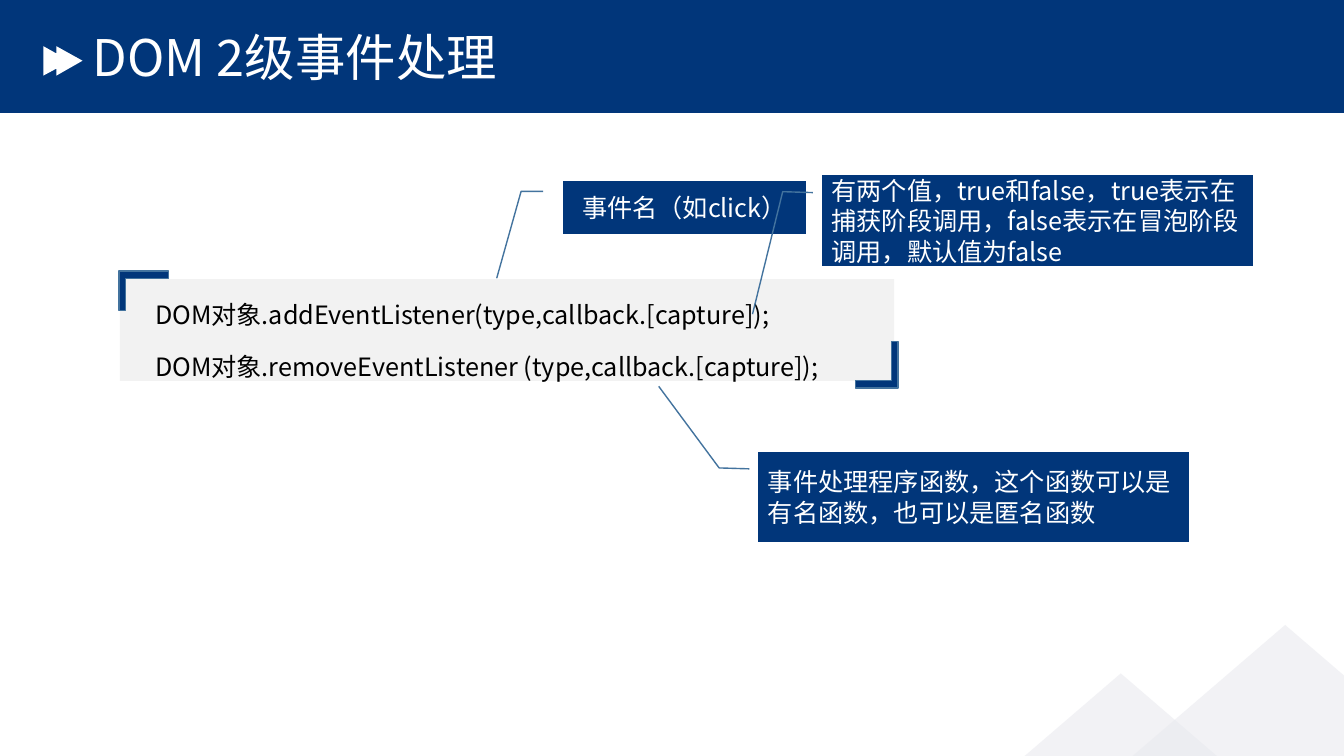
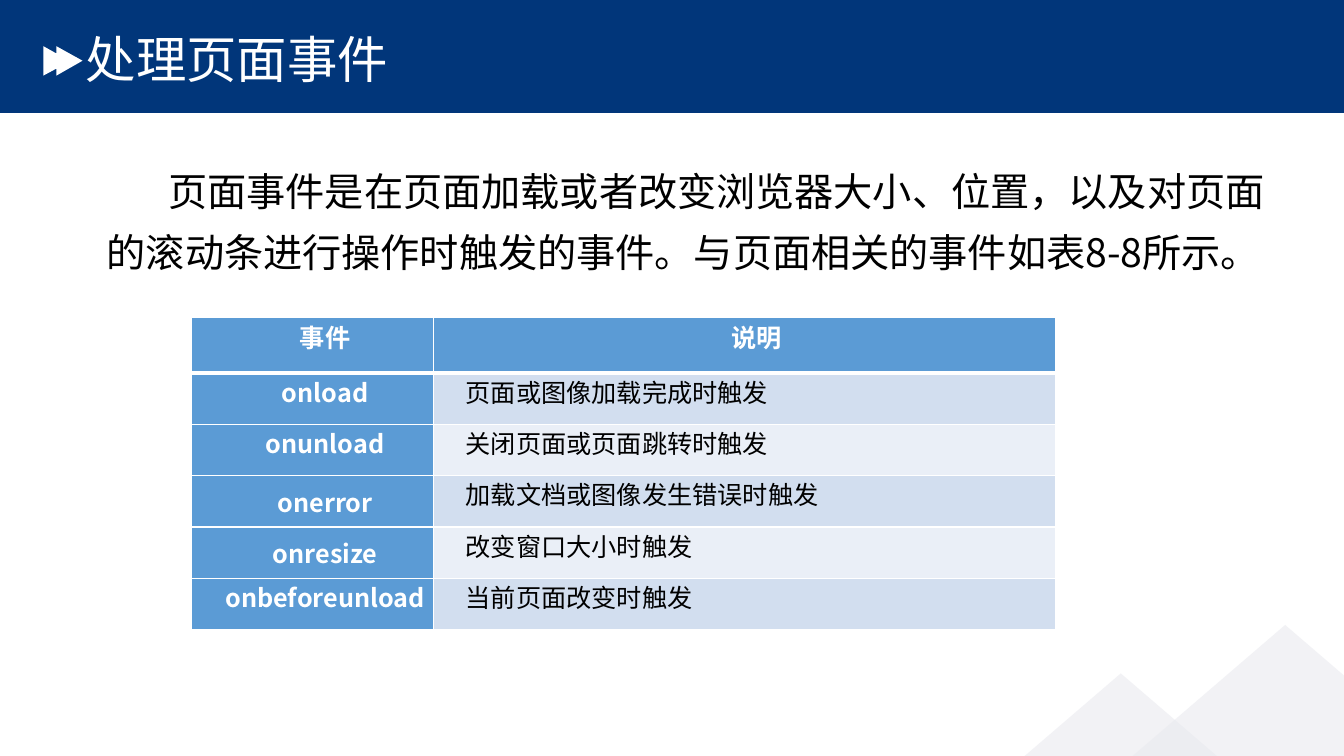
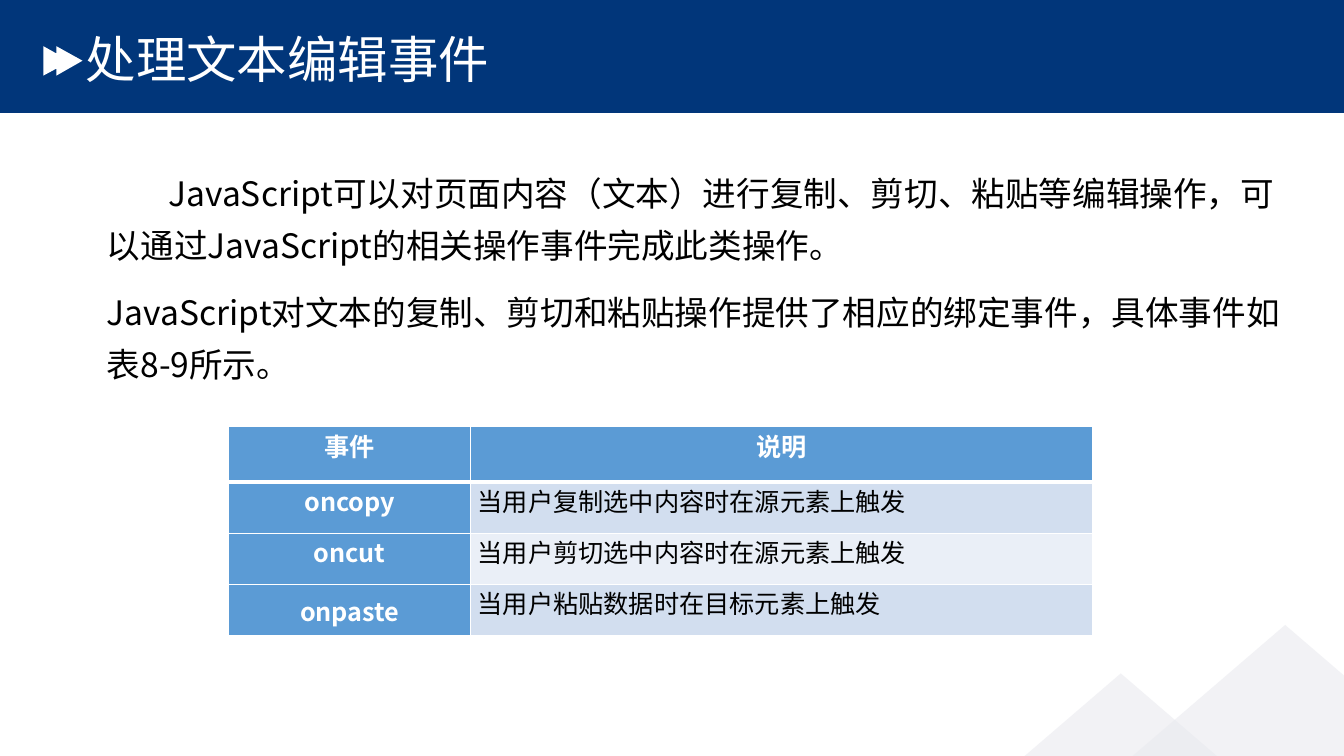
from pptx import Presentation as Deck
from pptx.dml.color import RGBColor as Rgb
from pptx.enum.shapes import MSO_SHAPE as Kind
from pptx.enum.text import MSO_ANCHOR as Anchor, MSO_AUTO_SIZE as Auto, PP_ALIGN as Align
from pptx.oxml.ns import qn
from pptx.util import Pt
from lxml.etree import SubElement as Sub

HUES = {
    "navy": "01367A", "edge": "43739E", "white": "FFFFFF", "black": "000000",
    "code": "F2F2F2", "hill": "E9EAEF", "head": "5B9BD5", "odd": "D2DEEF", "even": "EAEFF7",
}
FACE = "Noto Sans CJK SC"


def hue(name):
    return Rgb.from_string(HUES[name])


def apply(item, form):
    for key, val in form.items():
        setattr(item, key, val)


class Show:
    def __init__(self):
        self.deck = Deck()
        apply(self.deck, {"slide_width": Pt(960), "slide_height": Pt(540)})
        self.page = None
        self.based = False

    def start(self, title, box, body=False):
        self.page = self.deck.slides.add_slide(self.deck.slide_layouts[1 if body else 5])
        if not self.based:
            self.base()
        self.fill(self.page.shapes.title, box, [title], size=36, tone="white",
                  anchor=Anchor.MIDDLE, form={"line_spacing": 0.9})

    def base(self):
        band = self.shape(Kind.RECTANGLE, (0, 0, 960, 80.6), "navy")
        pen = self.page.shapes.build_freeform(Pt(31), Pt(33), 1.0)
        tips = [(40.3, 38.2), (40.3, 33), (59, 43.4), (40.3, 54), (40.3, 49), (31, 54)]
        pen.add_line_segments([(Pt(x), Pt(y)) for x, y in tips], close=True)
        mark = self.paint(pen.convert_to_shape(), "white")
        hills = [self.shape(Kind.ISOSCELES_TRIANGLE, (x, y, 316.8, 136.1), "hill")
                 for x, y in [(642.2, 481), (759.6, 446.4)]]
        for hill in hills:
            tint = hill.element.find(".//" + qn("a:srgbClr"))
            Sub(tint, qn("a:alpha"), val="59000")
        tree = self.deck.slide_master.shapes.element
        for num, part in enumerate([band, mark, *hills]):
            part.element.find(".//" + qn("p:cNvPr")).set("id", str(100 + num))
            tree.insert(2 + num, part.element)
        self.based = True

    def paint(self, item, tone, edge=None):
        item.shadow.inherit = False
        item.fill.solid()
        item.fill.fore_color.rgb = hue(tone)
        if edge:
            item.line.color.rgb = hue(edge)
            item.line.width = Pt(1)
        else:
            item.line.fill.background()
        return item

    def shape(self, kind, box, tone, edge=None, bends=(), turn=0):
        item = self.page.shapes.add_shape(kind, *map(Pt, box))
        item.rotation = turn
        for num, bend in enumerate(bends):
            item.adjustments[num] = bend
        return self.paint(item, tone, edge)

    def text(self, frame, lines, size=18, tone="black", bold=False, face=FACE,
             indent=0, form=None, gap=0, first=None):
        for num, line in enumerate(lines):
            para = frame.add_paragraph() if num else frame.paragraphs[0]
            props = para._p.get_or_add_pPr()
            props.set("marL", "0")
            props.set("indent", str(Pt(indent if num or first is None else first)))
            Sub(props, qn("a:buNone"))
            apply(para, {"alignment": Align.LEFT, "space_before": Pt(gap if num else 0),
                         **(form or {})})
            run = para.add_run()
            run.text = line
            apply(run.font, {"name": face, "size": Pt(size), "bold": bold})
            run.font.color.rgb = hue(tone)
            Sub(run._r.get_or_add_rPr(), qn("a:ea"), typeface=FACE)

    def fill(self, item, box, lines, anchor=Anchor.TOP, top=3.6, **style):
        apply(item, dict(zip(("left", "top", "width", "height"), map(Pt, box))))
        apply(item.text_frame, {"word_wrap": True, "auto_size": Auto.NONE,
                                "vertical_anchor": anchor, "margin_top": Pt(top)})
        self.text(item.text_frame, lines, **style)

    def body(self, lines, size, top=3.6):
        self.fill(self.page.placeholders[1], (69.1, 105.8, 861.8, 397.4), lines, size=size,
                  top=top, first=44, gap=10, form={"line_spacing": 1.3})

    def code(self, box, lines):
        pad = self.shape(Kind.RECTANGLE, box, "code")
        self.fill(pad, box, lines, indent=18, gap=4.8, form={"line_spacing": 1.5})
        ends = [self.shape(Kind.CORNER, spot, "navy", "edge", (0.16, 0.18), turn)
                for spot, turn in [((88.6, 190.1, 28.1, 35.3), 90),
                                   ((609.8, 245.5, 33.1, 30.2), 270)]]
        self.page.shapes.add_group_shape([pad, *ends])

    def note(self, box, line, bends, align=Align.LEFT):
        item = self.shape(Kind.LINE_CALLOUT_2_NO_BORDER, box, "navy", "edge", bends)
        self.fill(item, box, [line], tone="white", anchor=Anchor.MIDDLE,
                  form={"alignment": align})

    def cell(self, cell, line, back, top=0, rule=1, anchor=Anchor.TOP, **style):
        props = cell._tc.get_or_add_tcPr()
        for side in "LRTB":
            edge = Sub(props, qn("a:ln" + side), w=str(Pt(rule if side == "B" else 1)))
            Sub(Sub(edge, qn("a:solidFill")), qn("a:srgbClr"), val=HUES["white"])
        cell.fill.solid()
        cell.fill.fore_color.rgb = hue(back)
        apply(cell, {"margin_left": Pt(5), "margin_right": Pt(5), "margin_top": Pt(top),
                     "margin_bottom": Pt(0), "vertical_anchor": anchor})
        self.text(cell.text_frame, [line], **style)

    def table(self, left, top, rows, mid, indent=0, face=FACE):
        tall = [39.6] + [36.7] * len(rows)
        grid = self.page.shapes.add_table(len(tall), 2, Pt(left), Pt(top),
                                          Pt(617), Pt(sum(tall))).table
        for col, wide in zip(grid.columns, (172.8, 444.2)):
            col.width = Pt(wide)
        for row, high in zip(grid.rows, tall):
            row.height = Pt(high)
        label = {"back": "head", "tone": "white", "bold": True, "indent": indent}
        mean = {"alignment": Align.CENTER}
        for col, name in enumerate(("事件", "说明")):
            self.cell(grid.cell(0, col), name, top=15.8, rule=3, face=face,
                      form={**mean, "line_spacing": Pt(11)}, **label)
        for num, (name, info) in enumerate(rows, 1):
            self.cell(grid.cell(num, 0), name, form=mean,
                      anchor=Anchor.MIDDLE if name in mid else Anchor.TOP, **label)
            self.cell(grid.cell(num, 1), info, "odd" if num % 2 else "even", indent=indent)


def main():
    show = Show()
    show.start("DOM 2级事件处理", (59, 19.4, 581.8, 46.8))
    show.code((85.7, 199.4, 553, 72.7), [
        "DOM对象.addEventListener(type,callback.[capture]);",
        "DOM对象.removeEventListener (type,callback.[capture]);",
    ])
    show.note((401.8, 129.6, 174.2, 37.4), "事件名（如click）",
              (0.19, -0.08, 0.19, -0.17, 1.85, -0.27), Align.CENTER)
    show.note((541.4, 322.6, 308.2, 64.8),
              "事件处理程序函数，这个函数可以是有名函数，也可以是匿名函数",
              (0.19, -0.02, 0.18, -0.09, -0.72, -0.23))
    show.note((586.8, 125.3, 308.2, 64.8),
              "有两个值，true和false，true表示在捕获阶段调用，false表示在冒泡阶段调用，默认值为false",
              (0.19, -0.02, 0.18, -0.09, 1.53, -0.16))

    small = (54, 24.5, 473.8, 40.3)
    show.start("处理页面事件", small, body=True)
    show.body(["页面事件是在页面加载或者改变浏览器大小、位置，以及对页面的滚动条进行操作时触发的事件。"
               "与页面相关的事件如表8-8所示。"], 28)
    show.table(136.8, 226.8, [
        ("onload", "页面或图像加载完成时触发"),
        ("onunload", "关闭页面或页面跳转时触发"),
        ("onerror", "加载文档或图像发生错误时触发"),
        ("onresize", "改变窗口大小时触发"),
        ("onbeforeunload", "当前页面改变时触发"),
    ], ("onerror", "onresize"), indent=18)

    show.start("处理文本编辑事件", small, body=True)
    show.body([
        "JavaScript可以对页面内容（文本）进行复制、剪切、粘贴等编辑操作，"
        "可以通过JavaScript的相关操作事件完成此类操作。",
        "JavaScript对文本的复制、剪切和粘贴操作提供了相应的绑定事件，具体事件如表8-9所示。",
    ], 24, top=9)
    show.table(163.4, 304.6, [
        ("oncopy", "当用户复制选中内容时在源元素上触发"),
        ("oncut", "当用户剪切选中内容时在源元素上触发"),
        ("onpaste", "当用户粘贴数据时在目标元素上触发"),
    ], ("onpaste",), face="Arial")
    show.deck.save("out.pptx")


if __name__ == "__main__":
    main()
